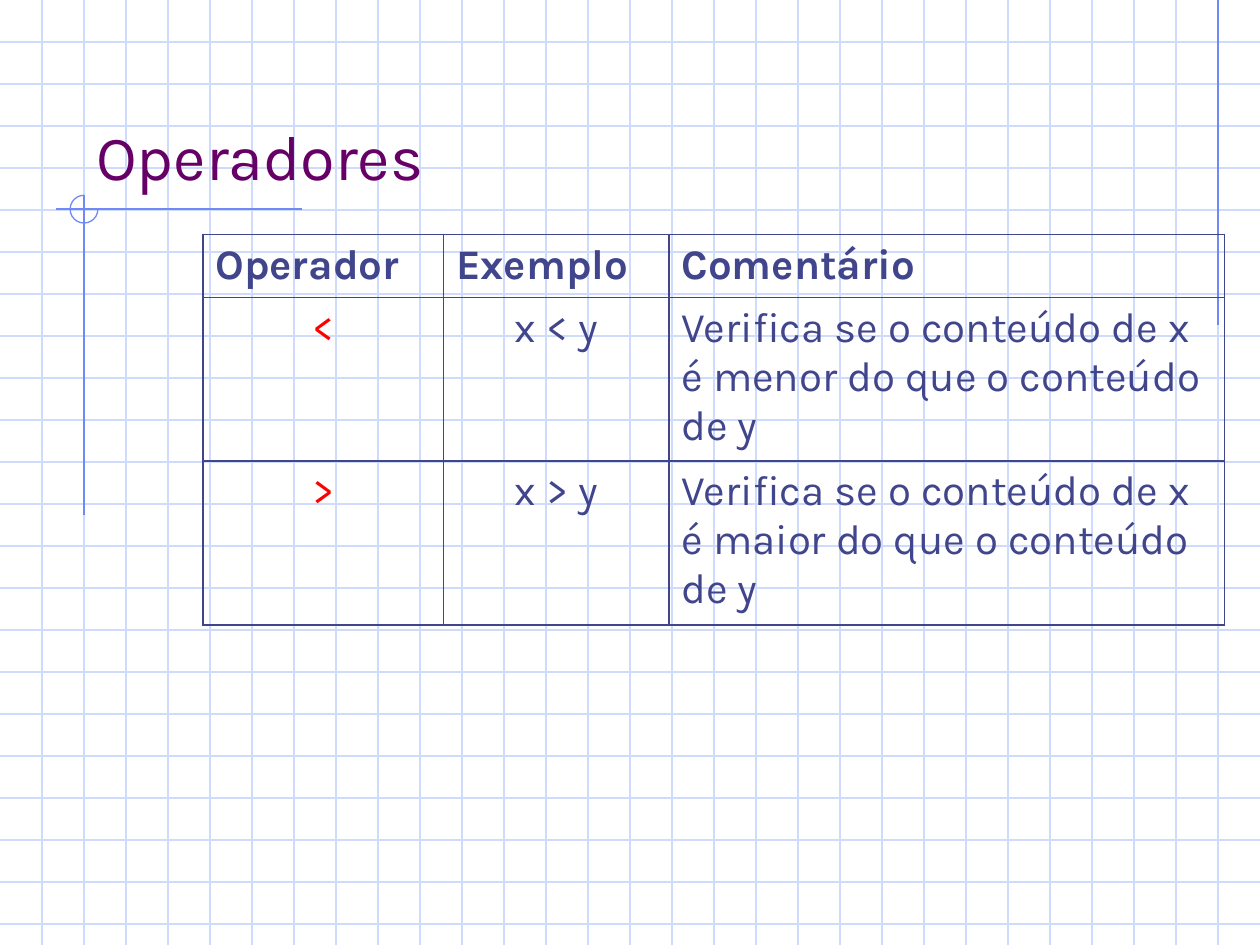
from lxml import etree
from pptx import Presentation
from pptx.dml.color import RGBColor
from pptx.enum.shapes import MSO_CONNECTOR, MSO_SHAPE
from pptx.enum.text import MSO_ANCHOR, PP_ALIGN
from pptx.oxml.ns import qn
from pptx.util import Inches, Pt

STRAIGHT = MSO_CONNECTOR.STRAIGHT
ARC = MSO_SHAPE.ARC
BOTTOM = MSO_ANCHOR.BOTTOM
LEFT, CENTER = PP_ALIGN.LEFT, PP_ALIGN.CENTER

PAPER = RGBColor(0xFF, 0xFF, 0xFF)
GRID = RGBColor(0xCF, 0xDB, 0xFD)
ACCENT = RGBColor(0x6F, 0x89, 0xF7)
PURPLE = RGBColor(0x66, 0x00, 0x66)
INDIGO = RGBColor(0x40, 0x45, 0x8C)
RED = RGBColor(0xFF, 0x00, 0x00)

FONT = "Karla"
WIDTH, HEIGHT = 10, 7.5
SQUARES_PER_INCH = 3

HEADINGS = ("Operador", "Exemplo", "Comentário")
OPERATORS = (
    ("<", "x < y", "Verifica se o conteúdo de x é menor do que o conteúdo de y"),
    (">", "x > y", "Verifica se o conteúdo de x é maior do que o conteúdo de y"),
)
COLUMN_WIDTHS = (1.91, 1.79, 4.41)
ROW_HEIGHTS = (0.5, 1.3, 1.3)


def rule(slide, x1, y1, x2, y2, color):
    stroke = slide.shapes.add_connector(
        STRAIGHT, Inches(x1), Inches(y1), Inches(x2), Inches(y2))
    stroke.line.color.rgb = color
    stroke.line.width = Pt(0.75)
    etree.SubElement(stroke._element.spPr, qn("a:effectLst"))


def write(paragraph, text, size, color, bold=False, align=LEFT):
    paragraph.alignment = align
    run = paragraph.add_run()
    run.text = text
    run.font.name = FONT
    run.font.size = Pt(size)
    run.font.bold = bold
    run.font.color.rgb = color


def squared_paper(slide, width, height):
    for row in range(1, int(height * SQUARES_PER_INCH) + 1):
        y = row / SQUARES_PER_INCH
        rule(slide, 0, y, width, y, GRID)
    for column in range(1, int(width * SQUARES_PER_INCH)):
        x = column / SQUARES_PER_INCH
        rule(slide, x, 0, x, height, GRID)


def corner_mark(slide, x, y, radius):
    rule(slide, x + 1.73, y, x - 0.22, y, ACCENT)
    rule(slide, x, y - radius, x, y + 2.43, ACCENT)
    ring = slide.shapes.add_shape(
        ARC, Inches(x - radius), Inches(y - radius),
        Inches(2 * radius), Inches(2 * radius))
    ring.adjustments[0] = 0
    ring.adjustments[1] = 162
    ring.shadow.inherit = False
    ring.fill.background()
    ring.line.color.rgb = ACCENT
    ring.line.width = Pt(0.75)


def title(slide, left, top, width, height, text):
    box = slide.shapes.add_textbox(
        Inches(left), Inches(top), Inches(width), Inches(height))
    frame = box.text_frame
    frame.word_wrap = True
    frame.vertical_anchor = BOTTOM
    write(frame.paragraphs[0], text, 36, PURPLE)


def outline(cell):
    properties = cell._tc.get_or_add_tcPr()
    for side in ("a:lnL", "a:lnR", "a:lnT", "a:lnB"):
        border = etree.SubElement(properties, qn(side), w=str(Pt(1)))
        fill = etree.SubElement(border, qn("a:solidFill"))
        etree.SubElement(fill, qn("a:srgbClr"), val=str(INDIGO))
    cell.fill.background()


def operator_table(slide, left, top, widths, heights):
    table = slide.shapes.add_table(
        len(heights), len(widths), Inches(left), Inches(top),
        Inches(sum(widths)), Inches(sum(heights))).table
    table.first_row = False
    table.horz_banding = False
    for column, width in zip(table.columns, widths):
        column.width = Inches(width)
    for row, height in zip(table.rows, heights):
        row.height = Inches(height)
    for r, texts in enumerate((HEADINGS,) + OPERATORS):
        for c, text in enumerate(texts):
            cell = table.cell(r, c)
            heading = r == 0
            color = RED if c == 0 and not heading else INDIGO
            align = LEFT if heading or c == 2 else CENTER
            write(cell.text_frame.paragraphs[0], text, 24, color, heading, align)
            outline(cell)


def operators_slide(deck):
    slide = deck.slides.add_slide(deck.slide_layouts[6])
    slide.background.fill.solid()
    slide.background.fill.fore_color.rgb = PAPER
    squared_paper(slide, WIDTH, HEIGHT)
    margin = 2 / SQUARES_PER_INCH
    rule(slide, WIDTH - 1 / SQUARES_PER_INCH, 0,
         WIDTH - 1 / SQUARES_PER_INCH, 2.58, ACCENT)
    corner_mark(slide, margin, 1.66, 0.11)
    title(slide, margin, margin / 2, 8.5, 1.25, "Operadores")
    operator_table(slide, 1.61, 1.86, COLUMN_WIDTHS, ROW_HEIGHTS)


deck = Presentation()
deck.slide_width = Inches(WIDTH)
deck.slide_height = Inches(HEIGHT)
operators_slide(deck)
deck.save("out.pptx")
